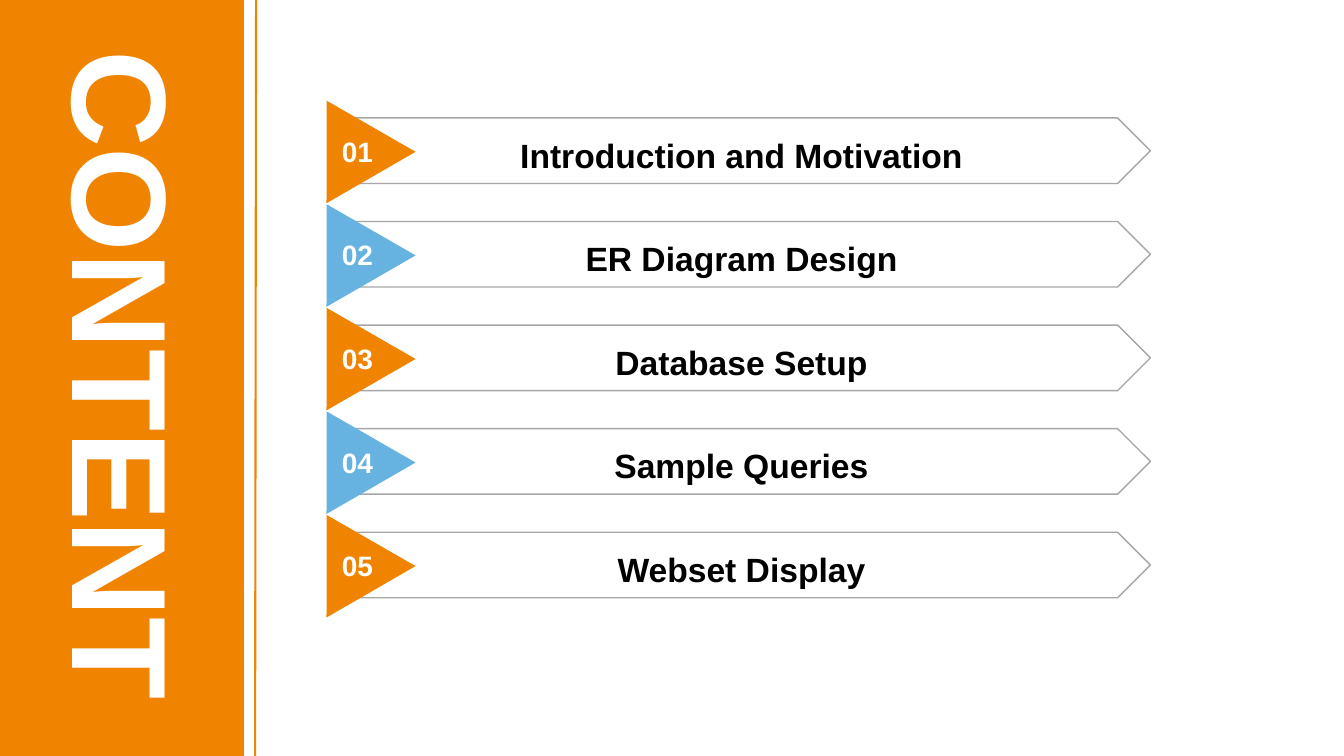
from pptx import Presentation
from pptx.dml.color import RGBColor
from pptx.enum.shapes import MSO_CONNECTOR, MSO_SHAPE
from pptx.enum.text import MSO_ANCHOR, MSO_AUTO_SIZE, PP_ALIGN
from pptx.util import Pt
from lxml.etree import SubElement
from pptx.oxml.ns import qn

TITLE = "CONTENT"
TOPICS = [
    "Introduction and Motivation",
    "ER Diagram Design",
    "Database Setup",
    "Sample Queries",
    "Webset Display",
]
ORANGE, BLUE, GRAY = "F08300", "66B3E1", "A6A6A6"
WHITE, BLACK = "FFFFFF", "000000"
FONT = "Arial"
PX = 9144
FIRST_TOP, STEP = 117, 102.75


def px(*lengths):
    return [round(n * PX) for n in lengths]


def rgb(value):
    return RGBColor.from_string(value)


def add_shape(s, kind, box, fill=None, line=None):
    sp = s.shapes.add_shape(kind, *px(*box))
    sp.shadow.inherit = False
    if fill:
        sp.fill.solid()
        sp.fill.fore_color.rgb = rgb(fill)
    else:
        sp.fill.background()
    if line:
        sp.line.color.rgb = rgb(line)
        sp.line.width = Pt(1)
    else:
        sp.line.fill.background()
    return sp


def write(sp, text, size, color, align, anchor, spacing=1.0):
    tf = sp.text_frame
    tf.text = text
    tf.word_wrap = True
    tf.auto_size = MSO_AUTO_SIZE.NONE
    tf.vertical_anchor = anchor
    p = tf.paragraphs[0]
    p.alignment = align
    p.line_spacing = spacing
    font = p.runs[0].font
    font.name = FONT
    font.size = Pt(size)
    font.bold = True
    font.color.rgb = rgb(color)


def add_topic(s, index, topic):
    top = FIRST_TOP + index * STEP
    bar = add_shape(s, MSO_SHAPE.PENTAGON, (346, top, 795, 65), line=GRAY)
    write(bar, topic, 24, BLACK, PP_ALIGN.CENTER, MSO_ANCHOR.MIDDLE, 1.2)
    color = BLUE if index % 2 else ORANGE
    marker = add_shape(s, MSO_SHAPE.ISOSCELES_TRIANGLE,
                       (295, top - 23, 102, 88), fill=color)
    marker.rotation = 330
    number = s.shapes.add_textbox(*px(326, top + 7, 57, 52))
    write(number, f"{index + 1:02d}", 20, WHITE, PP_ALIGN.CENTER,
          MSO_ANCHOR.MIDDLE)


def add_title(s):
    title = s.shapes.title
    title.left, title.top, title.width, title.height = px(33, 45, 182, 682)
    write(title, TITLE, 96, WHITE, PP_ALIGN.LEFT, MSO_ANCHOR.TOP)
    title.text_frame._txBody.bodyPr.set("vert", "eaVert")
    s.shapes._spTree.append(title._element)


def add_rule(s):
    rule = s.shapes.add_connector(MSO_CONNECTOR.STRAIGHT,
                                  *px(254, -2, 253, 755))
    rule.line.color.rgb = rgb(ORANGE)
    rule.line.width = Pt(1.5)
    SubElement(rule._element.spPr, qn("a:effectLst"))


def main():
    prs = Presentation()
    prs.slide_width, prs.slide_height = px(1333, 750)
    s = prs.slides.add_slide(prs.slide_layouts[5])
    add_shape(s, MSO_SHAPE.RECTANGLE, (-1, -1, 243, 754), fill=ORANGE)
    for index, topic in enumerate(TOPICS):
        add_topic(s, index, topic)
    add_title(s)
    add_rule(s)
    prs.save("out.pptx")


if __name__ == "__main__":
    main()
